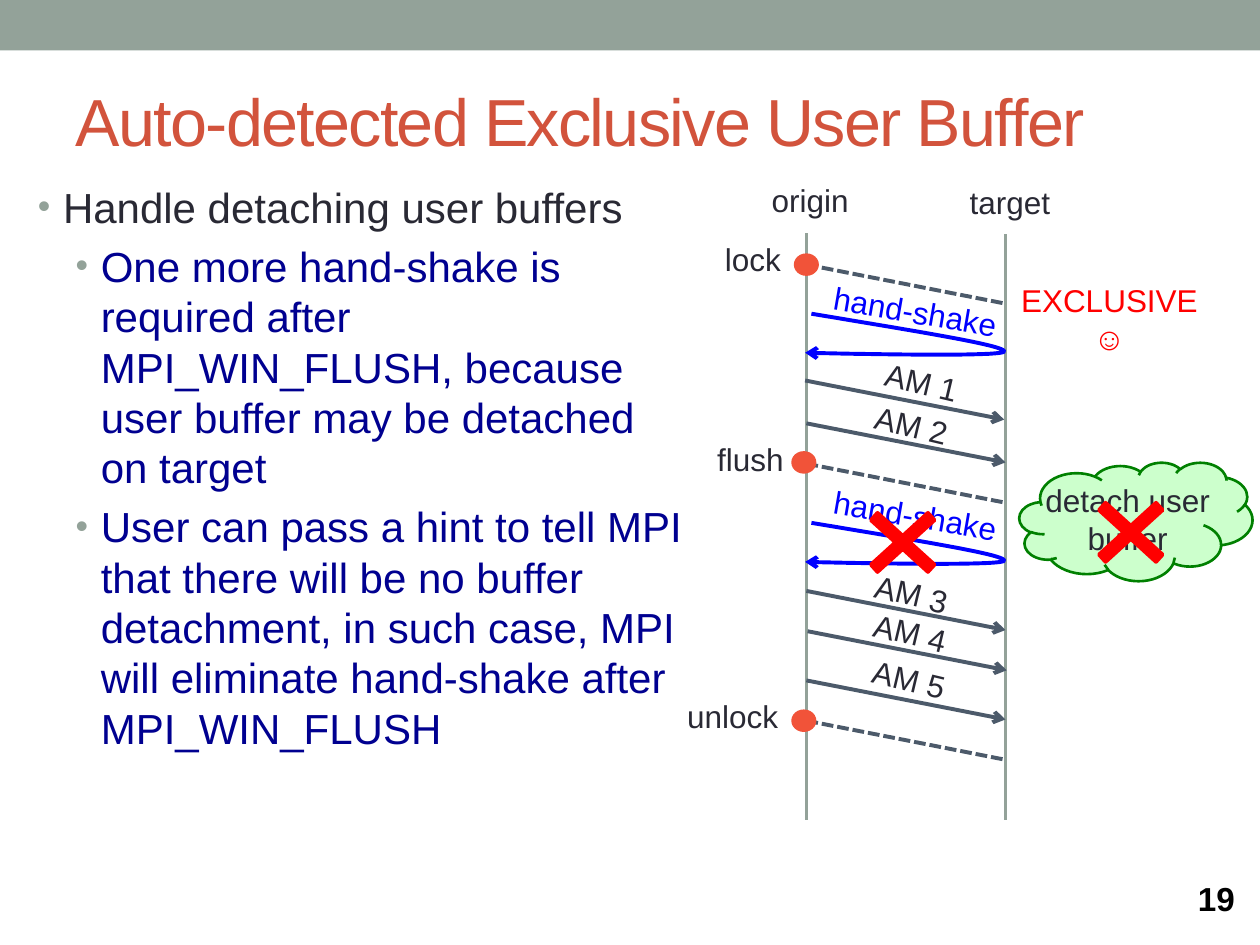
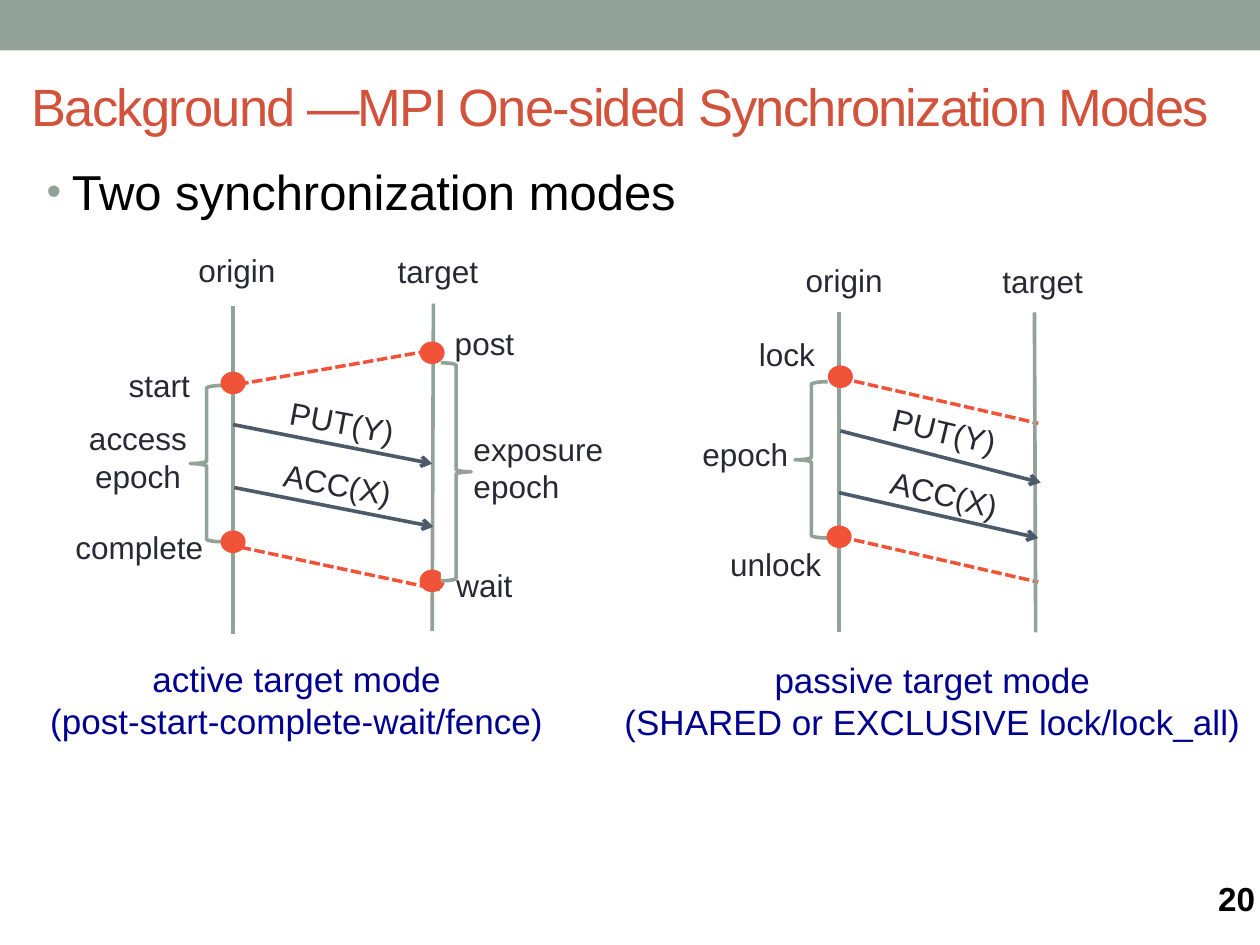
from lxml.etree import SubElement
from pptx import Presentation
from pptx.dml.color import RGBColor
from pptx.enum.dml import MSO_LINE
from pptx.enum.shapes import MSO_CONNECTOR, MSO_SHAPE
from pptx.enum.text import MSO_ANCHOR, MSO_AUTO_SIZE, PP_ALIGN
from pptx.oxml.ns import qn
from pptx.util import Inches, Pt

SAGE = RGBColor(0x93, 0xA2, 0x99)
BRICK = RGBColor(0xD2, 0x53, 0x3C)
ORANGE = RGBColor(0xF1, 0x53, 0x39)
SLATE = RGBColor(0x4C, 0x5A, 0x6A)
INK = RGBColor(0x29, 0x29, 0x34)
NAVY = RGBColor(0x00, 0x00, 0x90)
BLUE = RGBColor(0x00, 0x00, 0xFF)
RED = RGBColor(0xFF, 0x00, 0x00)
GREEN = RGBColor(0x00, 0x80, 0x00)
MINT = RGBColor(0xCC, 0xFF, 0xCC)
BLACK = RGBColor(0x00, 0x00, 0x00)
WHITE = RGBColor(0xFF, 0xFF, 0xFF)

FONT = "Arial"
DOT_SIZE = (0.17, 0.15)
LINE_HEIGHT = 0.31
TEXT_PADDING = 0.09

# Lines: (from x, from y, to x, to y). Labels: (text, left, top, width, format).
# Bullets: (level, text, colour). Braces: (left, top, width, height).
BUFFER_SLIDE = {
    "title": ("Auto-detected Exclusive User Buffer", (0.5, 0.2, 9, 1.5), 38),
    "bullets": [
        (0, "Handle detaching user buffers", INK),
        (1, "One more hand-shake is required after MPI_WIN_FLUSH, because "
            "user buffer may be detached on target", NAVY),
        (1, "User can pass a hint to tell MPI that there will be no buffer "
            "detachment, in such case, MPI will eliminate hand-shake after "
            "MPI_WIN_FLUSH", NAVY),
    ],
    "body": ((0.2, 1.39, 5.36, 5.43), 24),
    "number": ("19", 9.41),
    "lifelines": [(6.4, 1.85, 6.4, 6.51), (7.98, 1.86, 7.98, 6.51)],
    "sync_lines": [(6.4, y, 7.98, y + 0.31) for y in (2.1, 3.68, 5.72)],
    "sync_style": (SLATE, 2.25),
    "messages": [(x, y, x + 1.58, y + 0.31) for x, y in
                 [(6.39, 3.02), (6.4, 3.36), (6.4, 4.69), (6.41, 5.01), (6.4, 5.4)]],
    "message_width": 2.25,
    "left_braces": [],
    "right_braces": [],
    "dots": [(6.4, 2.1), (6.38, 3.67), (6.38, 5.72)],
    "labels": [
        ("origin", 6.02, 1.39, 0.82, {"wrap": False}),
        ("target", 7.59, 1.4, 0.85, {"wrap": False}),
        ("lock", 5.47, 1.86, 1.01, {}),
        ("flush", 5.45, 3.44, 1.01, {}),
        ("unlock", 5.31, 5.48, 1.01, {}),
        ("AM 1", 6.75, 2.83, 1.13, {"turn": 13.4}),
        ("AM 2", 6.67, 3.17, 1.13, {"turn": 13.4}),
        ("AM 3", 6.67, 4.51, 1.13, {"turn": 13.4}),
        ("AM 4", 6.66, 4.82, 1.13, {"turn": 13.4}),
        ("AM 5", 6.65, 5.19, 1.13, {"turn": 13.4}),
        ("hand-shake", 6.26, 2.27, 2.01, {"turn": 9.8, "color": BLUE}),
        ("hand-shake", 6.26, 3.89, 2.01, {"turn": 9.8, "color": BLUE}),
        ("EXCLUSIVE\n☺", 7.98, 2.18, 1.65, {"color": RED}),
    ],
}

MODES_SLIDE = {
    "title": ("Background —MPI One-sided Synchronization Modes",
              (0.15, 0.3, 9.55, 1.08), 30),
    "bullets": [(0, "Two synchronization modes", BLACK)],
    "body": ((0.27, 1.23, 9, 0.63), 28),
    "number": ("20", 9.57),
    "lifelines": [(1.85, 2.43, 1.85, 5.03), (3.44, 2.41, 3.43, 5.01),
                  (6.66, 2.48, 6.66, 5.02), (8.21, 2.48, 8.22, 5.02)],
    "sync_lines": [(1.78, 3.07, 3.49, 2.77), (1.8, 4.32, 3.49, 4.68),
                   (6.67, 3, 8.24, 3.36), (6.67, 4.26, 8.24, 4.62)],
    "sync_style": (ORANGE, 2),
    "messages": [(1.85, 3.37, 3.43, 3.68), (1.86, 3.87, 3.44, 4.18),
                 (6.67, 3.42, 8.26, 3.83), (6.66, 3.91, 8.24, 4.27)],
    "message_width": 2.08,
    "left_braces": [(1.51, 3.06, 0.26, 1.24), (6.31, 3.03, 0.26, 1.24)],
    "right_braces": [(3.5, 2.88, 0.24, 1.73)],
    "dots": [(3.43, 2.8), (1.85, 3.04), (3.43, 4.61), (1.85, 4.3),
             (6.67, 2.99), (6.66, 4.26)],
    "labels": [
        ("origin", 1.47, 1.94, 0.82, {"wrap": False}),
        ("target", 3.05, 1.95, 0.85, {"wrap": False}),
        ("start", 0.76, 2.86, 1.01, {}),
        ("access epoch", 0.59, 3.28, 1.01, {"lines": 2}),
        ("complete", 0.43, 4.14, 1.35, {}),
        ("post", 3.34, 2.52, 1.01, {}),
        ("exposure epoch", 3.66, 3.36, 1.26, {"lines": 2, "align": PP_ALIGN.LEFT}),
        ("wait", 3.34, 4.44, 1.01, {}),
        ("PUT(Y)", 2.11, 3.15, 1.21, {"turn": 10.6}),
        ("ACC(X)", 2.11, 3.64, 1.14, {"turn": 10.2}),
        ("origin", 6.29, 2.02, 0.82, {"wrap": False}),
        ("target", 7.85, 2.03, 0.85, {"wrap": False}),
        ("lock", 5.74, 2.61, 1.01, {}),
        ("epoch", 5.41, 3.4, 1.01, {}),
        ("unlock", 5.65, 4.28, 1.01, {}),
        ("PUT(Y)", 6.93, 3.22, 1.13, {"turn": 13.4}),
        ("ACC(X)", 6.93, 3.72, 1.13, {"turn": 13.4}),
        ("active target mode\n(post-start-complete-wait/fence)",
         0.27, 5.17, 4.17, {"size": 20, "color": NAVY}),
        ("passive target mode\n(SHARED or EXCLUSIVE lock/lock_all)",
         4.76, 5.18, 5.28, {"size": 20, "color": NAVY}),
    ],
}

HANDSHAKE_TOPS = (2.49, 4.15)
# Two cubic curves, as offsets from the top: out to the target, then back.
HANDSHAKE_CURVES = [
    [(6.44, 0), (7.21, 0.13), (7.98, 0.25), (7.97, 0.3)],
    [(7.97, 0.3), (7.96, 0.35), (6.39, 0.31), (6.39, 0.31)],
]
CROSSES = [(8.54, 3.83, 0.87, 0.79), (6.73, 3.91, 0.87, 0.79)]


def place(shape, frame):
    for name, value in zip(("left", "top", "width", "height"), frame):
        setattr(shape, name, Inches(value))


def write(paragraph, text, color, size, bold=False):
    span = paragraph.add_run()
    span.text = text
    for name, value in {"name": FONT, "size": Pt(size), "bold": bold}.items():
        setattr(span.font, name, value)
    span.font.color.rgb = color
    return span


def write_lines(frame, text, color, size, align):
    for index, line in enumerate(text.split("\n")):
        para = frame.add_paragraph() if index else frame.paragraphs[0]
        para.alignment = align
        write(para, line, color, size)


def add_label(page, text, left, top, width, look):
    size = look.get("size", 18)
    lines = look.get("lines", text.count("\n") + 1)
    height = lines * LINE_HEIGHT * size / 18 + TEXT_PADDING
    box = page.shapes.add_textbox(*map(Inches, (left, top, width, height)))
    box.rotation = look.get("turn", 0)
    box.text_frame.word_wrap = look.get("wrap", True)
    box.text_frame.auto_size = MSO_AUTO_SIZE.SHAPE_TO_FIT_TEXT
    write_lines(box.text_frame, text, look.get("color", INK), size,
                look.get("align", PP_ALIGN.CENTER))


def add_preset(page, kind, frame, fill, line=None, width=2.08):
    shape = page.shapes.add_shape(kind, *map(Inches, frame))
    shape.shadow.inherit = False
    shape.fill.solid()
    shape.fill.fore_color.rgb = fill
    if line is None:
        shape.line.fill.background()
    else:
        shape.line.color.rgb = line
        shape.line.width = Pt(width)
    return shape


def add_arrowhead(shape):
    SubElement(shape.get_or_add_ln(), qn("a:tailEnd"), type="arrow")


def add_line(page, ends, color, width, dashed=False, arrow=False):
    line = page.shapes.add_connector(MSO_CONNECTOR.STRAIGHT, *map(Inches, ends))
    line.line.color.rgb = color
    line.line.width = Pt(width)
    if dashed:
        line.line.dash_style = MSO_LINE.SQUARE_DOT
    if arrow:
        add_arrowhead(line)
    SubElement(line._element.spPr, qn("a:effectLst"))


def cubic_points(controls, steps=24):
    for step in range(steps + 1):
        t = step / steps
        weights = ((1 - t) ** 3, 3 * t * (1 - t) ** 2, 3 * t * t * (1 - t), t ** 3)
        yield tuple(sum(w * point[axis] for w, point in zip(weights, controls))
                    for axis in (0, 1))


def add_handshake(page, top):
    points = [(Inches(x), Inches(top + y))
              for curve in HANDSHAKE_CURVES for x, y in cubic_points(curve)]
    builder = page.shapes.build_freeform(*points[0])
    builder.add_line_segments(points[1:], close=False)
    loop = builder.convert_to_shape()
    loop.shadow.inherit = False
    loop.fill.background()
    loop.line.color.rgb = BLUE
    loop.line.width = Pt(2.25)
    add_arrowhead(loop)


def add_bullet(para, level):
    properties = para._p.get_or_add_pPr()
    properties.set("marL", str(Inches(0.2 + 0.3 * level)))
    properties.set("indent", str(Inches(-0.2)))
    color = SubElement(properties, qn("a:buClr"))
    SubElement(color, qn("a:srgbClr"), val=str(SAGE))
    SubElement(properties, qn("a:buSzPct"), val="85000")
    SubElement(properties, qn("a:buFont"), typeface=FONT)
    SubElement(properties, qn("a:buChar"), char="•")


def fill_title(title, text, frame, size):
    place(title, frame)
    title.text_frame.vertical_anchor = MSO_ANCHOR.MIDDLE
    title.text_frame.auto_size = MSO_AUTO_SIZE.NONE
    para = title.text_frame.paragraphs[0]
    para.alignment = PP_ALIGN.LEFT
    span = write(para, text, BRICK, size)
    span._r.get_or_add_rPr().set("spc", "-100")


def fill_body(body, bullets, frame, size):
    place(body, frame)
    body.text_frame.auto_size = MSO_AUTO_SIZE.NONE
    for index, (level, text, color) in enumerate(bullets):
        para = body.text_frame.add_paragraph() if index else body.text_frame.paragraphs[0]
        para.level = level
        add_bullet(para, level)
        para.space_before = Pt(0.2 * size if index else 0)
        write(para, text, color, size)


def add_number(page, text, left):
    box = page.shapes.add_textbox(*map(Inches, (left, 6.98, 1.17, 0.36)))
    box.text_frame.word_wrap = True
    box.text_frame.vertical_anchor = MSO_ANCHOR.MIDDLE
    para = box.text_frame.paragraphs[0]
    para.line_spacing = 0.8
    write(para, text, BLACK, 19, bold=True)


def add_timeline(page, content):
    for ends in content["sync_lines"]:
        add_line(page, ends, *content["sync_style"], dashed=True)
    for frame in content["left_braces"]:
        add_preset(page, MSO_SHAPE.LEFT_BRACE, frame, WHITE, SAGE)
    for ends in content["lifelines"]:
        add_line(page, ends, SAGE, 2.08)
    for ends in content["messages"]:
        add_line(page, ends, SLATE, content["message_width"], arrow=True)
    width, height = DOT_SIZE
    for x, y in content["dots"]:
        add_preset(page, MSO_SHAPE.OVAL, (x - width / 2, y - height / 2, width, height),
                   ORANGE, ORANGE)
    for frame in content["right_braces"]:
        add_preset(page, MSO_SHAPE.RIGHT_BRACE, frame, WHITE, SAGE)
    for label in content["labels"]:
        add_label(page, *label)


def add_page(deck, content):
    page = deck.slides.add_slide(deck.slide_layouts[1])
    add_preset(page, MSO_SHAPE.RECTANGLE, (0, 0, 10, 0.4), SAGE)
    fill_title(page.shapes.title, *content["title"])
    fill_body(page.placeholders[1], content["bullets"], *content["body"])
    add_number(page, *content["number"])
    add_timeline(page, content)
    return page


def add_detach_marks(page):
    """Add the hand-shake loops, the detach cloud and the crosses over them."""
    for top in HANDSHAKE_TOPS:
        add_handshake(page, top)
    cloud = add_preset(page, MSO_SHAPE.CLOUD, (8.09, 3.67, 1.85, 0.94), MINT, GREEN, 1.5)
    cloud.text_frame.word_wrap = False
    cloud.text_frame.vertical_anchor = MSO_ANCHOR.MIDDLE
    write_lines(cloud.text_frame, "detach user\nbuffer", INK, 18, PP_ALIGN.CENTER)
    for frame in CROSSES:
        cross = add_preset(page, MSO_SHAPE.MATH_MULTIPLY, frame, RED, RED, 2.25)
        cross.adjustments[0] = 0.097


def main():
    deck = Presentation()
    deck.slide_width, deck.slide_height = Inches(10), Inches(7.5)
    add_detach_marks(add_page(deck, BUFFER_SLIDE))
    add_page(deck, MODES_SLIDE)
    deck.save("out.pptx")


if __name__ == "__main__":
    main()
